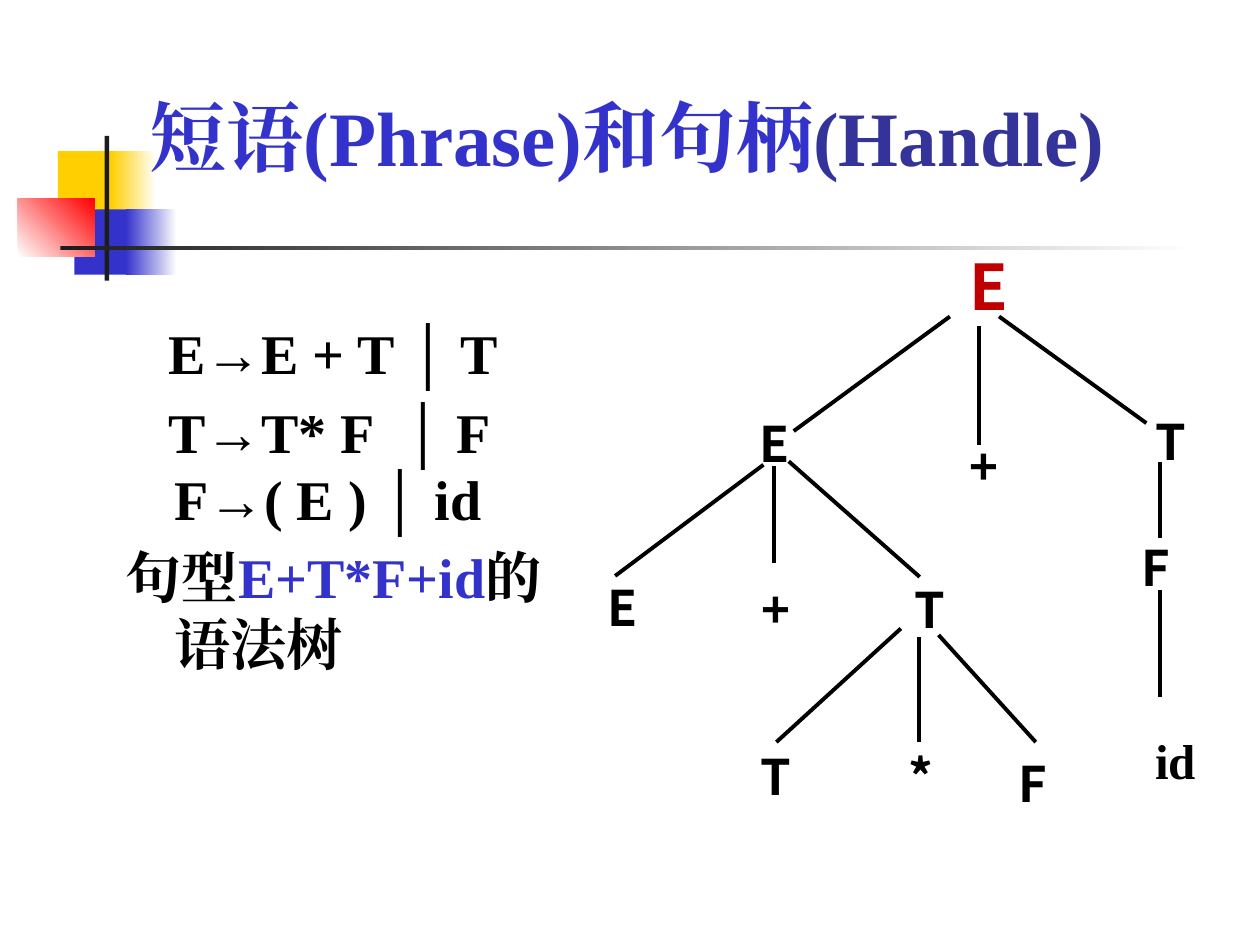
from lxml.etree import SubElement
from pptx import Presentation
from pptx.dml.color import RGBColor
from pptx.enum.shapes import MSO_CONNECTOR, MSO_SHAPE
from pptx.enum.text import MSO_ANCHOR
from pptx.oxml.ns import qn
from pptx.util import Cm, Pt

BLACK = RGBColor(0x00, 0x00, 0x00)
WHITE = RGBColor(0xFF, 0xFF, 0xFF)
CHARCOAL = RGBColor(0x1C, 0x1C, 0x1C)
YELLOW = RGBColor(0xFF, 0xCF, 0x01)
BLUE = RGBColor(0x33, 0x33, 0xCC)
NAVY = RGBColor(0x33, 0x33, 0x99)
RED = RGBColor(0xFF, 0x00, 0x00)
CRIMSON = RGBColor(0xC0, 0x00, 0x00)
SERIF = "Times New Roman"
SANS = "Noto Sans CJK SC"


class SlideBuilder:
    line_width = Pt(2.25)
    label_size = (2.49, 1.42)

    def __init__(self, slide):
        self.slide = slide

    def block(self, left, top, width, height, color, end=None, angle=0):
        block = self.slide.shapes.add_shape(
            MSO_SHAPE.RECTANGLE, Cm(left), Cm(top), Cm(width), Cm(height))
        block.shadow.inherit = False
        block.line.fill.background()
        if end is None:
            block.fill.solid()
            block.fill.fore_color.rgb = color
            return
        block.fill.gradient()
        block.fill.gradient_angle = angle
        for stop, position, tone in zip(block.fill.gradient_stops, (0, 1), (color, end)):
            stop.position = position
            stop.color.rgb = tone

    def frame(self, left, top, width, height, anchor=MSO_ANCHOR.TOP):
        box = self.slide.shapes.add_textbox(Cm(left), Cm(top), Cm(width), Cm(height))
        box.text_frame.word_wrap = True
        box.text_frame.vertical_anchor = anchor
        return box.text_frame

    def run(self, paragraph, text, size, color=BLACK, font=SERIF, spacing=0):
        run = paragraph.add_run()
        run.text = text
        run.font.size = Pt(size)
        run.font.bold = True
        run.font.color.rgb = color
        run.font.name = font
        properties = run.font._element
        SubElement(properties, qn("a:ea")).set("typeface", font)
        if spacing:
            properties.set("spc", str(spacing * 100))

    def indent(self, paragraph, first_line):
        properties = paragraph._p.get_or_add_pPr()
        properties.set("marL", str(Cm(0.97)))
        properties.set("indent", str(Cm(first_line)))

    def label(self, text, left, top, size=28, color=BLACK, font=SANS):
        paragraph = self.frame(left, top, *self.label_size).paragraphs[0]
        paragraph.line_spacing = 1.1
        self.run(paragraph, text, size, color, font)

    def branch(self, x1, y1, x2, y2):
        branch = self.slide.shapes.add_connector(
            MSO_CONNECTOR.STRAIGHT, Cm(x1), Cm(y1), Cm(x2), Cm(y2))
        branch.line.color.rgb = BLACK
        branch.line.width = self.line_width
        SubElement(branch._element.spPr, qn("a:effectLst"))


def add_decoration(builder):
    builder.block(1.17, 3.05, 1.22, 1.32, YELLOW)
    builder.block(2.24, 3.05, 0.91, 1.32, YELLOW, WHITE)
    builder.block(1.5, 4.22, 1.17, 1.32, BLUE)
    builder.block(2.54, 4.22, 1.02, 1.32, BLUE, WHITE)
    builder.block(0.36, 4.01, 1.55, 1.17, WHITE, RED, 45)
    builder.block(2.11, 2.74, 0.09, 2.92, CHARCOAL)
    builder.block(1.22, 4.95, 22.86, 0.09, CHARCOAL, WHITE)


def add_title(builder):
    title = builder.frame(2.77, 0.74, 22.71, 3.05, MSO_ANCHOR.BOTTOM).paragraphs[0]
    builder.run(title, "短语(Phrase)和句柄", 44, BLUE)
    builder.run(title, "(Handle)", 44, NAVY)


def add_grammar(builder):
    body = builder.frame(2.29, 6.3, 9.6, 11.43)
    sum_rule = body.paragraphs[0]
    product_rule = body.add_paragraph()
    sentence = body.add_paragraph()
    for paragraph, first_line in ((sum_rule, -0.12), (product_rule, -0.12), (sentence, -0.97)):
        builder.indent(paragraph, first_line)
    for paragraph in (product_rule, sentence):
        paragraph.space_before = Pt(6.4)

    builder.run(sum_rule, "E→E + T │ T", 32)
    builder.run(product_rule, "T→T* F", 32)
    builder.run(product_rule, " ", 32, spacing=8)
    builder.run(product_rule, "│ F", 32)
    product_rule.add_line_break()
    builder.run(product_rule, "F→( E ) │ id", 32)
    builder.run(sentence, "句型", 32)
    builder.run(sentence, "E+T*F+id", 32, BLUE)
    builder.run(sentence, "的语法树", 32)


def add_tree(builder):
    builder.label("E", 19.3, 4.72, 36, CRIMSON)
    for symbol, left, top in (
        ("E", 15.06, 8.1), ("+", 19.3, 8.56), ("T", 23.04, 8.05),
        ("E", 11.99, 11.4), ("+", 15.11, 11.43), ("T", 18.19, 11.43),
        ("F", 22.76, 10.59),
        ("T", 15.09, 14.81), ("*", 18.06, 14.81), ("F", 20.29, 14.94),
    ):
        builder.label(symbol, left, top)
    builder.label("id", 23.04, 14.48, font=SERIF)

    for ends in (
        (19.15, 6.38, 16, 8.69), (19.74, 6.58, 19.74, 8.97), (20.14, 6.38, 23.11, 8.53),
        (15.39, 9.37, 12.4, 11.61), (15.6, 9.4, 15.6, 11.35), (15.9, 9.3, 18.54, 11.63),
        (23.39, 9.32, 23.39, 10.85), (23.39, 11.89, 23.39, 14.05),
        (18.16, 12.67, 15.65, 14.96), (18.52, 12.85, 18.52, 14.96),
        (18.92, 12.8, 20.88, 14.96),
    ):
        builder.branch(*ends)


def main():
    presentation = Presentation()
    presentation.slide_width = Cm(25.4)
    presentation.slide_height = Cm(19.05)
    builder = SlideBuilder(presentation.slides.add_slide(presentation.slide_layouts[6]))
    add_decoration(builder)
    add_title(builder)
    add_grammar(builder)
    add_tree(builder)
    presentation.save("out.pptx")


if __name__ == "__main__":
    main()
